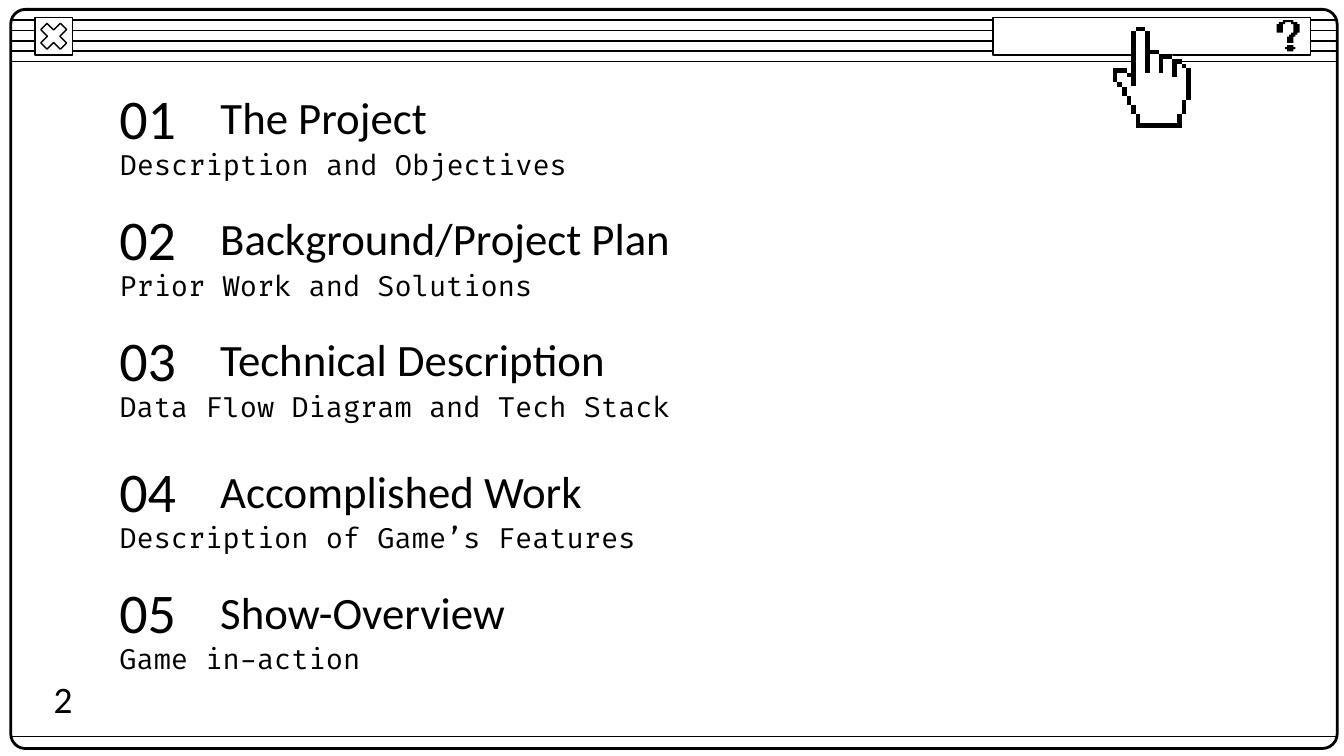
from lxml.etree import SubElement
from pptx import Presentation
from pptx.dml.color import RGBColor
from pptx.enum.shapes import MSO_CONNECTOR, MSO_SHAPE
from pptx.enum.text import MSO_ANCHOR, MSO_AUTO_SIZE, PP_ALIGN
from pptx.oxml.ns import qn
from pptx.util import Inches, Pt

WIDTH = 10
HEIGHT = WIDTH * 9 / 16
INK, PAPER = "000000", "FFFFFF"
ITEMS = [
    ("The Project", "Description and Objectives"),
    ("Background/Project Plan", "Prior Work and Solutions"),
    ("Technical Description", "Data Flow Diagram and Tech Stack"),
    ("Accomplished Work", "Description of Game’s Features"),
    ("Show-Overview", "Game in-action"),
]
HAND = [(5, 0), (5, 1), (4, 1), (4, 10), (3, 10), (3, 9), (0, 9), (0, 12),
        (1, 12), (1, 13), (2, 13), (2, 15), (3, 15), (3, 17), (4, 17),
        (4, 19), (5, 19), (5, 22), (15, 22), (15, 19), (16, 19), (16, 16),
        (17, 16), (17, 9), (16, 9), (16, 8), (15, 8), (15, 7), (13, 7),
        (13, 6), (10, 6), (10, 5), (8, 5), (8, 1), (7, 1), (7, 0)]
STROKES = [(4, 1, 1, 12), (5, 0, 2, 1), (7, 1, 1, 9), (8, 5, 2, 1),
           (10, 7, 1, 3), (10, 6, 3, 1), (13, 8, 1, 3), (13, 7, 2, 1),
           (15, 8, 1, 1), (16, 9, 1, 7), (15, 16, 1, 3), (14, 19, 1, 3),
           (5, 21, 9, 1), (3, 10, 1, 1), (0, 9, 3, 1), (0, 10, 1, 2),
           (1, 12, 1, 1), (2, 13, 1, 2), (3, 15, 1, 2), (4, 17, 1, 2),
           (5, 19, 1, 2)]
HOOK = [(3, 0), (3, 1), (1, 1), (1, 2), (0, 2), (0, 6), (3, 6), (3, 2),
        (4, 2), (4, 1), (7, 1), (7, 2), (8, 2), (8, 6), (7, 6), (7, 7),
        (6, 7), (6, 8), (5, 8), (5, 11), (8, 11), (8, 8), (9, 8), (9, 7),
        (10, 7), (10, 6), (11, 6), (11, 2), (10, 2), (10, 1), (8, 1), (8, 0)]
DOT = [(5, 12), (5, 13), (4, 13), (4, 14), (5, 14), (5, 15), (8, 15),
       (8, 14), (9, 14), (9, 13), (8, 13), (8, 12)]


def color(code):
    """Turn a hex string into a colour."""
    return RGBColor.from_string(code)


def paint(shape, fill=None, line=None, width=0.75):
    """Set fill and outline, and drop the shadow."""
    shape.shadow.inherit = False
    if fill:
        shape.fill.solid()
        shape.fill.fore_color.rgb = color(fill)
    else:
        shape.fill.background()
    if line:
        shape.line.color.rgb = color(line)
        shape.line.width = Pt(width)
    else:
        shape.line.fill.background()


def block(shapes, kind, box, adj=None, **style):
    """Add a preset shape in a box."""
    shape = shapes.add_shape(kind, *map(Inches, box))
    if adj is not None:
        shape.adjustments[0] = adj
    paint(shape, **style)


def rule(shapes, left, right, top):
    """Draw a thin level line."""
    line = shapes.add_connector(
        MSO_CONNECTOR.STRAIGHT, *map(Inches, (left, top, right, top)))
    line.line.color.rgb = color(INK)
    line.line.width = Pt(0.75)
    SubElement(line._element.spPr, qn("a:effectLst"))


def pixel(shapes, box, cols, points, fill=INK):
    """Fill an outline given in cells of a square grid."""
    left, top, width = box[:3]
    pen = shapes.build_freeform(*points[0], scale=Inches(width) / cols)
    pen.add_line_segments(points[1:], close=True)
    paint(pen.convert_to_shape(Inches(left), Inches(top)), fill=fill)


def write(slide, text, box, holder=None, size=24, font="Calibri",
          align=PP_ALIGN.LEFT):
    """Put one line of text in a box or a given placeholder."""
    left, top, width, height = map(Inches, box)
    shape = holder or slide.shapes.add_textbox(left, top, width, height)
    shape.left, shape.top, shape.width, shape.height = left, top, width, height
    frame = shape.text_frame
    frame.word_wrap = True
    frame.auto_size = MSO_AUTO_SIZE.NONE
    frame.vertical_anchor = MSO_ANCHOR.MIDDLE
    frame.margin_left = frame.margin_right = Inches(0.1)
    frame.margin_top = frame.margin_bottom = Inches(0.1)
    para = frame.paragraphs[0]
    para.alignment = align
    para.space_before = Pt(0)
    run = para.add_run()
    run.text = text
    run.font.size, run.font.name = Pt(size), font
    run.font.color.rgb = color(INK)


def window(slide, box):
    """Draw the window frame, title stripes, close box and help bar."""
    left, top, width, height = box
    right = left + width
    shapes = slide.shapes
    stripes = shapes.add_group_shape().shapes
    for row in range(5):
        rule(stripes, left, right, top + 0.08 + row * 0.077)
    block(shapes, MSO_SHAPE.ROUNDED_RECTANGLE, box, 0.02, line=INK, width=1.5)
    rule(shapes, left, right, top + height - 0.09)
    close = shapes.add_group_shape().shapes
    for kind, adj in ((MSO_SHAPE.RECTANGLE, None),
                      (MSO_SHAPE.MATH_MULTIPLY, 0.235)):
        block(close, kind, (left + 0.18, top + 0.06, 0.28, 0.28), adj,
              fill=PAPER, line=INK)
    bar = shapes.add_group_shape().shapes
    block(bar, MSO_SHAPE.RECTANGLE, (right - 2.56, top + 0.06, 2.36, 0.28),
          fill=PAPER, line=INK)
    for points in (HOOK, DOT):
        pixel(bar, (right - 0.45, top + 0.08, 0.17), 11, points)


def hand(slide, box):
    """Draw the pointing hand on a grid of 17 columns."""
    shapes = slide.shapes.add_group_shape().shapes
    pixel(shapes, box, 17, HAND, PAPER)
    for col, row, wide, high in STROKES:
        end, low = col + wide, row + high
        pixel(shapes, box, 17, [(col, row), (col, low), (end, low), (end, row)])


def entry(slide, box, num, title, note, heads):
    """Write a number, its heading and the note below."""
    left, top, width, height = box
    head, sub = heads
    write(slide, title, (left + 0.75, top, width - 0.75, 0.34), head)
    write(slide, f"{num:02}", (left, top, 0.76, 0.34), size=30)
    write(slide, note, (left, top + height - 0.22, width, 0.22), sub,
          size=15, font="Fira Code")


def agenda(slide, box):
    """List the entries, with a wider gap after the third."""
    left, top, width, height = box
    pitch = (height - 0.63 - 0.08) / (len(ITEMS) - 1)
    for num, (title, note) in enumerate(ITEMS, 1):
        heads = tuple(slide.placeholders) if num == 1 else (None, None)
        shift = 0.08 if num > 3 else 0
        spot = (left, top + (num - 1) * pitch + shift, width, 0.63)
        entry(slide, spot, num, title, note, heads)


def main():
    """Build and save the deck."""
    deck = Presentation()
    deck.slide_width, deck.slide_height = Inches(WIDTH), Inches(HEIGHT)
    slide = deck.slides.add_slide(deck.slide_layouts[0])
    window(slide, (0.08, 0.07, 9.87, 5.5))
    agenda(slide, (0.79, 0.7, 6.17, 4.31))
    hand(slide, (8.28, 0.2, 0.58, 0.75))
    write(slide, "2", (0.16, 4.93, 0.62, 0.54), size=20,
          align=PP_ALIGN.CENTER)
    deck.save("out.pptx")


if __name__ == "__main__":
    main()
